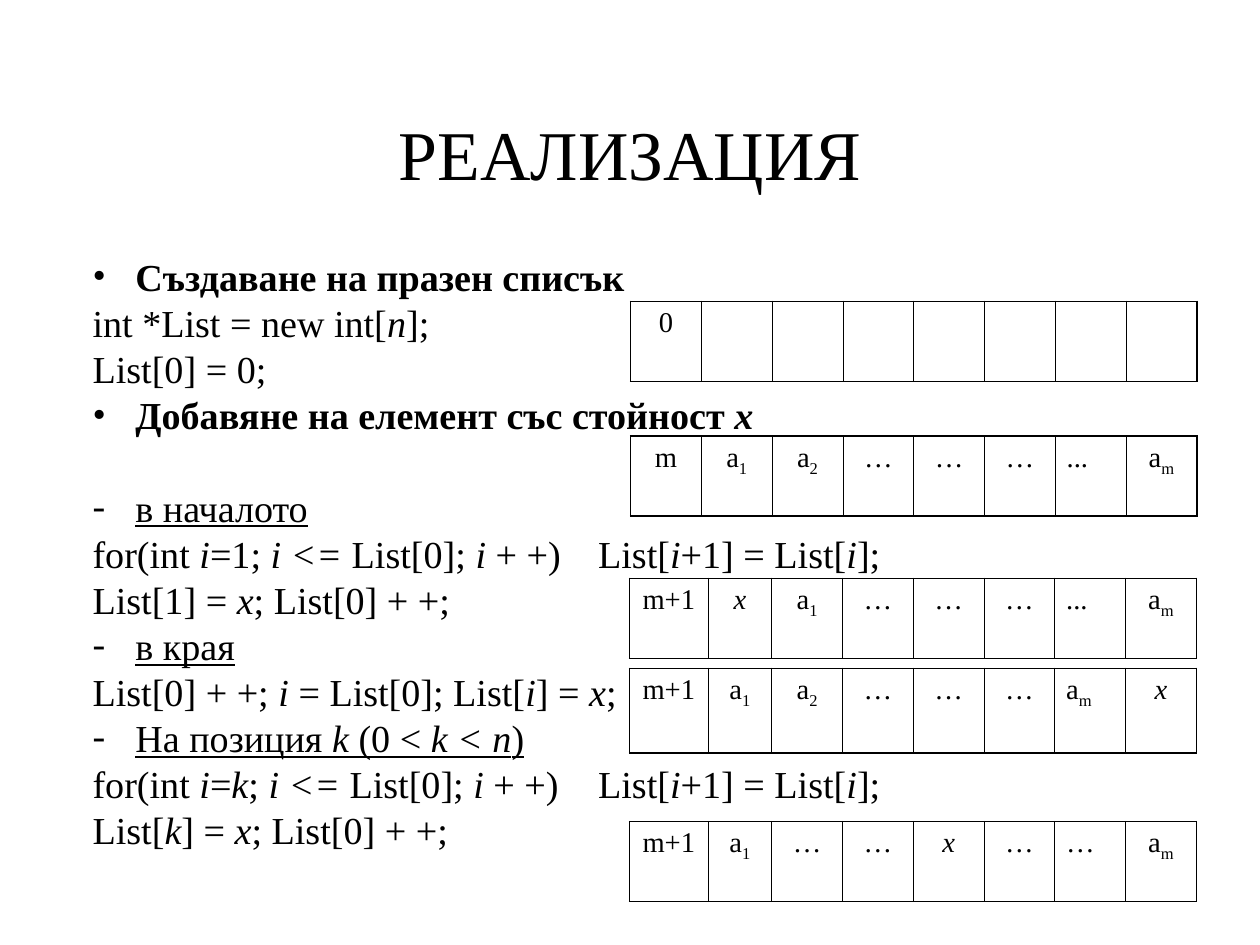
"""Build the slide about implementing a list in an array."""
from dataclasses import dataclass

import pptx
import pptx.dml.color
import pptx.enum.text
import pptx.oxml.ns
import pptx.util
from lxml import etree

Pt = pptx.util.Pt
ALIGN = pptx.enum.text.PP_ALIGN
ANCHOR = pptx.enum.text.MSO_ANCHOR
MARGINS = ("margin_left", "margin_top", "margin_right", "margin_bottom")


@dataclass(frozen=True)
class Theme:
    """Colours, font, type sizes and line widths."""
    ink: str = "000000"
    font: str = "Times New Roman"
    title: int = 44
    body: int = 24
    cell: int = 18
    outer_line: float = 1.08
    inner_line: float = 0.45


THEME = Theme()
INDENT = 27
LOOP_TAB = 318.5
HEADING, CODE, CASE = "heading", "code", "case"
BULLETS = {HEADING: "•", CASE: "-"}
SPAN_FORMATS = {HEADING: {"bold": True}, CODE: {}, CASE: {"underline": True}}

LINES = [
    (HEADING, "Създаване на празен списък", 0),
    (CODE, "int *List = new int[_n_];", 0),
    (CODE, "List[0] = 0;", 0),
    (HEADING, "Добавяне на елемент със стойност _x_", 0),
    (CASE, "в началото", 29),
    (CODE, "for(int _i_=1; _i <=_ List[0]; _i_ + +)\tList[_i_+1] = List[_i_];", 0),
    (CODE, "List[1] = _x_; List[0] + +;", 0),
    (CASE, "в края", 0),
    (CODE, "List[0] + +; _i _= List[0]; List[_i_] = _x_;", 0),
    (CASE, "На позиция _k_ (0 < _k < n_)", 0),
    (CODE, "for(int _i_=_k_; _i <=_ List[0]; _i_ + +)\tList[_i_+1] = List[_i_];", 0),
    (CODE, "List[_k_] = _x_; List[0] + +;", 0),
]

EVEN_COLUMNS = [44.6] * 8
WIDE_FIRST_COLUMNS = [49.5, 40] + [44.6] * 6
ARRAYS = [
    (397.2, 189.8, 50.4, EVEN_COLUMNS, ["0"] + [""] * 7),
    (397.2, 274.8, 50.4, EVEN_COLUMNS,
     ["m", "a_1_", "a_2_", "…", "…", "…", "...", "a_m_"]),
    (396.6, 364.4, 50.4, WIDE_FIRST_COLUMNS,
     ["m+1", "x", "a_1_", "…", "…", "…", "...", "a_m_"]),
    (396.6, 421.1, 53.3, WIDE_FIRST_COLUMNS,
     ["m+1", "a_1_", "a_2_", "…", "…", "…", "a_m_", "x"]),
    (396.6, 517.5, 50.4, WIDE_FIRST_COLUMNS,
     ["m+1", "a_1_", "…", "…", "x", "…", "…", "a_m_"]),
]


def set_format(target, values):
    """Set each named attribute of the target."""
    for name, value in values.items():
        setattr(target, name, value)


def add_element(parent, tag, **attributes):
    """Append a drawing element to its parent."""
    return etree.SubElement(parent, pptx.oxml.ns.qn(tag), attributes)


def add_span(para, text, size, **values):
    """Add a run in the theme font and colour."""
    span = para.add_run()
    span.text = text
    set_format(span.font, {"name": THEME.font, "size": Pt(size), **values})
    span.font.color.rgb = pptx.dml.color.RGBColor.from_string(THEME.ink)
    return span


def set_frame(frame, anchor):
    """Give a text frame wrapping, no insets and no autofit."""
    set_format(frame, {"word_wrap": True, "vertical_anchor": anchor,
                       "auto_size": pptx.enum.text.MSO_AUTO_SIZE.NONE,
                       **dict.fromkeys(MARGINS, 0)})


def add_title(page, text):
    """Place and fill the title placeholder."""
    box = page.shapes.title
    set_format(box, {"left": Pt(58.3), "top": Pt(49.4),
                     "width": Pt(677.5), "height": Pt(99.4)})
    set_frame(box.text_frame, ANCHOR.MIDDLE)
    para = box.text_frame.paragraphs[0]
    set_format(para, {"alignment": ALIGN.CENTER, "line_spacing": 0.93})
    add_span(para, text, THEME.title)


def add_bullet(para, mark):
    """Hang a bullet mark before the paragraph."""
    properties = para._p.get_or_add_pPr()
    properties.set("marL", str(Pt(INDENT)))
    properties.set("indent", str(-Pt(INDENT)))
    colour = add_element(properties, "a:buClr")
    add_element(colour, "a:srgbClr", val=THEME.ink)
    add_element(properties, "a:buFont", typeface=THEME.font)
    add_element(properties, "a:buChar", char=mark)


def add_tab(para, position):
    """Give the paragraph one left tab stop."""
    stops = add_element(para._p.get_or_add_pPr(), "a:tabLst")
    add_element(stops, "a:tab", pos=str(Pt(position)), algn="l")


def add_body(page, lines):
    """Add the headings, cases and code lines."""
    box = page.shapes.add_textbox(Pt(58.3), Pt(165.2), Pt(684.7), Pt(375.1))
    set_frame(box.text_frame, ANCHOR.TOP)
    for number, (kind, text, gap) in enumerate(lines):
        frame = box.text_frame
        para = frame.add_paragraph() if number else frame.paragraphs[0]
        set_format(para, {"line_spacing": 0.8, "space_after": Pt(6)})
        if gap:
            para.space_before = Pt(gap)
        if kind in BULLETS:
            add_bullet(para, BULLETS[kind])
        if "\t" in text:
            add_tab(para, LOOP_TAB)
        for index, part in enumerate(text.split("_")):
            if part:
                add_span(para, part, THEME.body, italic=index % 2 == 1,
                         **SPAN_FORMATS[kind])


def set_borders(cell, is_first, is_last):
    """Draw thick outer and thin inner cell borders."""
    thick = {"a:lnL": is_first, "a:lnR": is_last, "a:lnT": True, "a:lnB": True}
    for tag, is_outer in thick.items():
        width = THEME.outer_line if is_outer else THEME.inner_line
        line = add_element(cell._tc.get_or_add_tcPr(), tag, w=str(Pt(width)))
        fill = add_element(line, "a:solidFill")
        add_element(fill, "a:srgbClr", val=THEME.ink)


def fill_cell(cell, text, alignment):
    """Write an array element with its subscript."""
    set_format(cell, dict(zip(MARGINS, map(Pt, (7.2, 3.6, 7.2, 3.6)))))
    para = cell.text_frame.paragraphs[0]
    para.alignment = alignment
    for index, part in enumerate(text.split("_")):
        if part:
            span = add_span(para, part, THEME.cell, italic=part == "x")
            if index % 2:
                span._r.get_or_add_rPr().set("baseline", "-25000")


def add_array(page, left, top, height, widths, values):
    """Add a one-row table that shows an array."""
    frame = page.shapes.add_table(1, len(values), Pt(left), Pt(top),
                                  Pt(sum(widths)), Pt(height))
    table = frame.table
    set_format(table, {"first_row": False, "horz_banding": False})
    last = len(values) - 1
    for index, (width, value) in enumerate(zip(widths, values)):
        table.columns[index].width = Pt(width)
        cell = table.cell(0, index)
        set_borders(cell, index == 0, index == last)
        cell.fill.background()
        fill_cell(cell, value, ALIGN.LEFT if index == last - 1 else ALIGN.CENTER)


def main():
    """Build and save the deck."""
    deck = pptx.Presentation()
    set_format(deck, {"slide_width": Pt(793.7), "slide_height": Pt(595.28)})
    page = deck.slides.add_slide(deck.slide_layouts.get_by_name("Title Only"))
    add_title(page, "РЕАЛИЗАЦИЯ")
    add_body(page, LINES)
    for array in ARRAYS:
        add_array(page, *array)
    deck.save("out.pptx")


if __name__ == "__main__":
    main()
